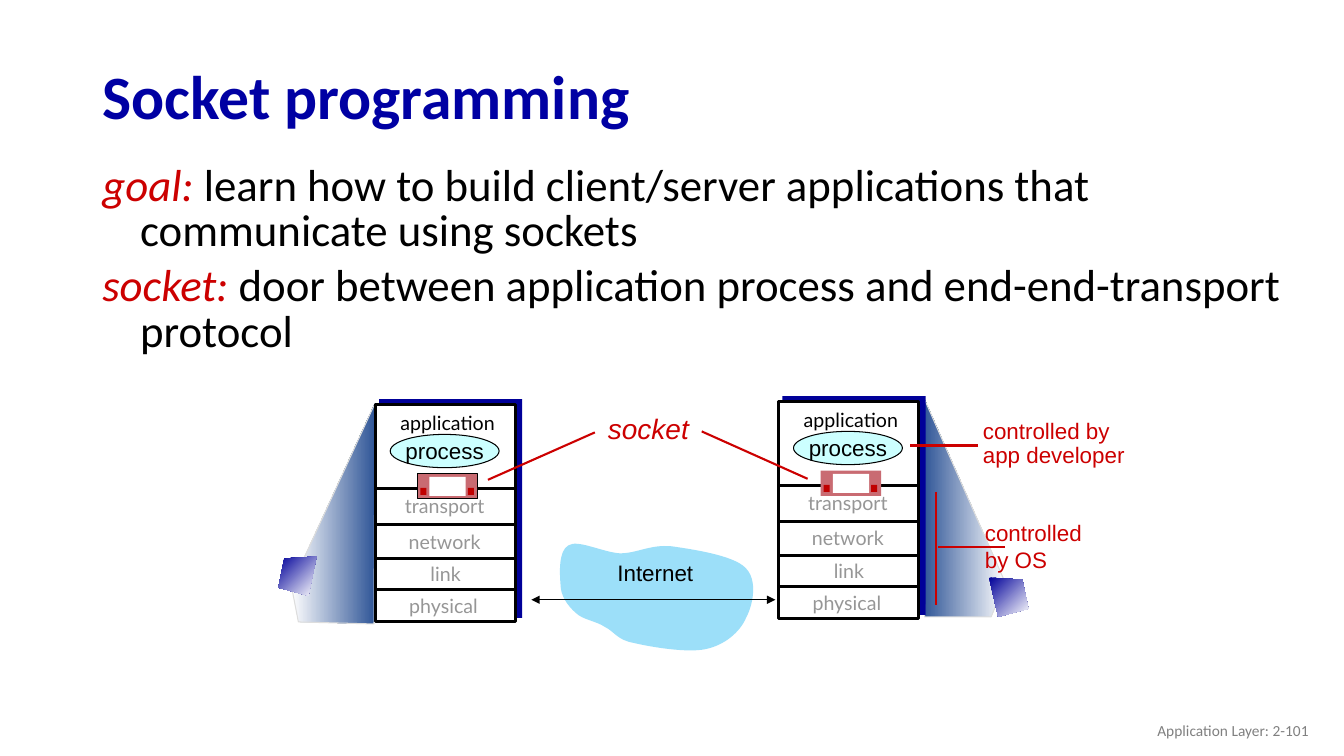
from lxml import etree
from pptx import Presentation
from pptx import util as u
from pptx.dml.color import RGBColor
from pptx.enum import shapes, text
from pptx.oxml.ns import qn

PX = 9144  # 100 px to the inch
NAVY = RGBColor(0x00, 0x00, 0x99)
TITLE_BLUE = RGBColor(0x00, 0x00, 0xA3)
BEAM_BLUE = RGBColor(0x2F, 0x55, 0x97)
BEAM_EDGE = RGBColor(0xDD, 0xDD, 0xDD)
SKY = RGBColor(0x9C, 0xDF, 0xF9)
AQUA = RGBColor(0xCC, 0xFF, 0xFF)
RED = RGBColor(0xCC, 0x00, 0x00)
DOOR = RGBColor(0xC9, 0x6B, 0x72)
KNOB = RGBColor(0xC0, 0x00, 0x00)
LAYER_GREY = RGBColor(0x96, 0x96, 0x96)
FOOTER_GREY = RGBColor(0x80, 0x80, 0x80)
BLACK = RGBColor(0x00, 0x00, 0x00)
WHITE = RGBColor(0xFF, 0xFF, 0xFF)

LEFT, CENTER, RIGHT = text.PP_ALIGN.LEFT, text.PP_ALIGN.CENTER, text.PP_ALIGN.RIGHT
TOP, MIDDLE = text.MSO_ANCHOR.TOP, text.MSO_ANCHOR.MIDDLE
RECT, OVAL = shapes.MSO_SHAPE.RECTANGLE, shapes.MSO_SHAPE.OVAL

prs = Presentation()
prs.slide_width, prs.slide_height = 1333 * PX, 750 * PX
s = prs.slides.add_slide(prs.slide_layouts[6])


def draw(kind, x, y, w, h, fill, line=None, width=0.75):
    sp = s.shapes.add_shape(kind, x * PX, y * PX, w * PX, h * PX)
    sp.shadow.inherit = False
    sp.fill.solid()
    sp.fill.fore_color.rgb = fill
    if line is None:
        sp.line.fill.background()
    else:
        sp.line.color.rgb = line
        sp.line.width = u.Pt(width)
    return sp


def write(x, y, w, h, lines, name, size, color, align=LEFT, anchor=TOP,
          spacing=1.0, wrap=True, **style):
    sp = s.shapes.add_textbox(x * PX, y * PX, w * PX, h * PX)
    tf = sp.text_frame
    tf.word_wrap, tf.vertical_anchor = wrap, anchor
    for i, line in enumerate(lines):
        p = tf.paragraphs[0] if i == 0 else tf.add_paragraph()
        p.alignment, p.line_spacing = align, spacing
        r = p.add_run()
        r.text = line
        r.font.color.rgb = color
        for key, value in dict(name=name, size=u.Pt(size), **style).items():
            setattr(r.font, key, value)


write(92, 50, 1150, 98, ["Socket programming"], "Calibri", 44, TITLE_BLUE,
      anchor=MIDDLE, spacing=0.9, bold=True)

definitions = [
    ("goal:", " learn how to build client/server applications that communicate using sockets"),
    ("socket:", " door between application process and end-end-transport protocol"),
]
tf = s.shapes.add_textbox(u.Pt(66), u.Pt(114), 1217 * PX, 168 * PX).text_frame
tf.word_wrap = True
for i, (term, meaning) in enumerate(definitions):
    p = tf.paragraphs[0] if i == 0 else tf.add_paragraph()
    pPr = p._p.get_or_add_pPr()
    pPr.set("marL", str(u.Pt(27)))
    pPr.set("indent", str(-u.Pt(27)))
    p.line_spacing = 0.85
    if i:
        p.space_before = u.Pt(6.4)
    for words, color, italic in ((term, RED, True), (meaning, BLACK, False)):
        r = p.add_run()
        r.text = words
        r.font.color.rgb = color
        for key, value in dict(name="Calibri", size=u.Pt(32), italic=italic).items():
            setattr(r.font, key, value)

# Internet cloud: each row is two control points and an end point
cloud_curves = [
    (555, 568, 554, 546, 564, 541), (573, 535, 598, 548, 615, 549),
    (632, 549, 645, 540, 666, 542), (687, 545, 727, 551, 739, 563),
    (752, 575, 747, 600, 740, 613), (734, 627, 719, 640, 700, 644),
    (682, 648, 646, 642, 629, 638), (612, 635, 610, 627, 600, 622),
    (591, 616, 578, 615, 571, 608), (563, 601, 556, 591, 556, 580),
]
cloud = [(556, 580)] + [curve[4:] for curve in cloud_curves]

# Outline, gradient colours, counter-clockwise angle, edge
outlines = [
    ([(997, 578), (916, 394), (917, 612), (983, 612)], (WHITE, BEAM_BLUE), 180, BEAM_EDGE),
    ([(289, 581), (372, 400), (371, 619), (296, 617)], (WHITE, BEAM_BLUE), 0, BEAM_EDGE),
    ([(314, 552), (282, 554), (276, 583), (306, 591)], (NAVY, WHITE), 315, None),
    ([(981, 573), (1014, 575), (1020, 604), (990, 612)], (NAVY, WHITE), 315, None),
    (cloud, (SKY,), 0, None),
]
for points, colors, angle, edge in outlines:
    corners = [(x * PX, y * PX) for x, y in points]
    builder = s.shapes.build_freeform(*corners[0], scale=1.0)
    builder.add_line_segments(corners[1:], close=True)
    sp = builder.convert_to_shape()
    sp.shadow.inherit = False
    if len(colors) == 1:
        sp.fill.solid()
        sp.fill.fore_color.rgb = colors[0]
    else:
        sp.fill.gradient()
        sp.fill.gradient_angle = angle
        for stop, color in zip(sp.fill.gradient_stops, colors):
            stop.color.rgb = color
    if edge is None:
        sp.line.fill.background()
    else:
        sp.line.color.rgb = edge
        sp.line.width = u.Pt(0.75)
    if points is cloud:
        segments = list(sp._element.iter(qn("a:lnTo")))
        for segment, curve in zip(segments, cloud_curves):
            bend = etree.Element(qn("a:cubicBezTo"))
            for x, y in zip(curve[::2], curve[1::2]):
                etree.SubElement(bend, qn("a:pt"), x=str(x * PX - sp.left), y=str(y * PX - sp.top))
            segment.getparent().replace(segment, bend)

# Host frame corner and outline of its socket door
hosts = [(372, 401, BLACK), (772, 398, None)]
rules = [
    (527, 595, 769, 595, BLACK, 0.75, True),
    (970, 442, 903, 442, RED, 1.5, False),
    (928, 488, 928, 600, RED, 1.5, False),
    (997, 543, 930, 543, RED, 1.5, False),
    (484, 476, 590, 429, RED, 1.5, False),
    (801, 475, 696, 428, RED, 1.5, False),
]
for x, y, _ in hosts:
    draw(RECT, x + 4, y - 5, 142, 217, NAVY)
    draw(RECT, x, y, 139, 216, WHITE, BLACK, 2.25)
    for dy in (84, 119, 153, 184):
        rules.append((x + 1, y + dy, x + 139, y + dy, BLACK, 2.25, False))

for x1, y1, x2, y2, color, width, arrows in rules:
    cx = s.shapes.add_connector(shapes.MSO_CONNECTOR.STRAIGHT, x1 * PX, y1 * PX, x2 * PX, y2 * PX)
    cx.line.color.rgb = color
    cx.line.width = u.Pt(width)
    if arrows:
        for end in ("a:headEnd", "a:tailEnd"):
            etree.SubElement(cx.line._get_or_add_ln(), qn(end), type="triangle")
    etree.SubElement(cx._element.spPr, qn("a:effectLst"))

layers = [("application", 0, -1, BLACK), ("transport", -3, 82, LAYER_GREY),
          ("network", -3, 117, LAYER_GREY), ("link", -2, 149, LAYER_GREY),
          ("physical", -4, 181, LAYER_GREY)]
for x, y, door_line in hosts:
    for layer, dx, dy, color in layers:
        write(x + dx, y + dy, 144, 36, [layer], "Lato", 14, color, align=CENTER, spacing=1.1)
    sp = draw(OVAL, x + 15, y + 30, 108, 33, AQUA, BLACK)
    tf = sp.text_frame
    tf.word_wrap, tf.vertical_anchor = False, MIDDLE
    p = tf.paragraphs[0]
    p.text, p.alignment = "process", CENTER
    p.font.name, p.font.size = "Arial", u.Pt(16)
    p.font.color.rgb = BLACK
    draw(RECT, x + 42, y + 69, 60, 25, DOOR, door_line)
    draw(RECT, x + 54, y + 72, 36, 19, WHITE)
    for dx in (45, 92):
        draw(RECT, x + dx, y + 83, 6, 7, KNOB)

write(602, 550, 96, 37, ["Internet"], "Arial", 16, BLACK, align=CENTER, wrap=False)
write(967, 510, 116, 90, ["controlled", "by OS"], "Arial", 16, RED, wrap=False)
write(965, 412, 161, 58, ["controlled by", "app developer"], "Arial", 16, RED,
      spacing=0.9, wrap=False)
write(593, 407, 110, 40, ["socket"], "Arial", 20, RED, spacing=0.9, wrap=False, italic=True)
write(1008, 705, 300, 40, ["Application Layer: 2-101"], "Calibri", 11, FOOTER_GREY,
      align=RIGHT, anchor=MIDDLE)

prs.save("out.pptx")
